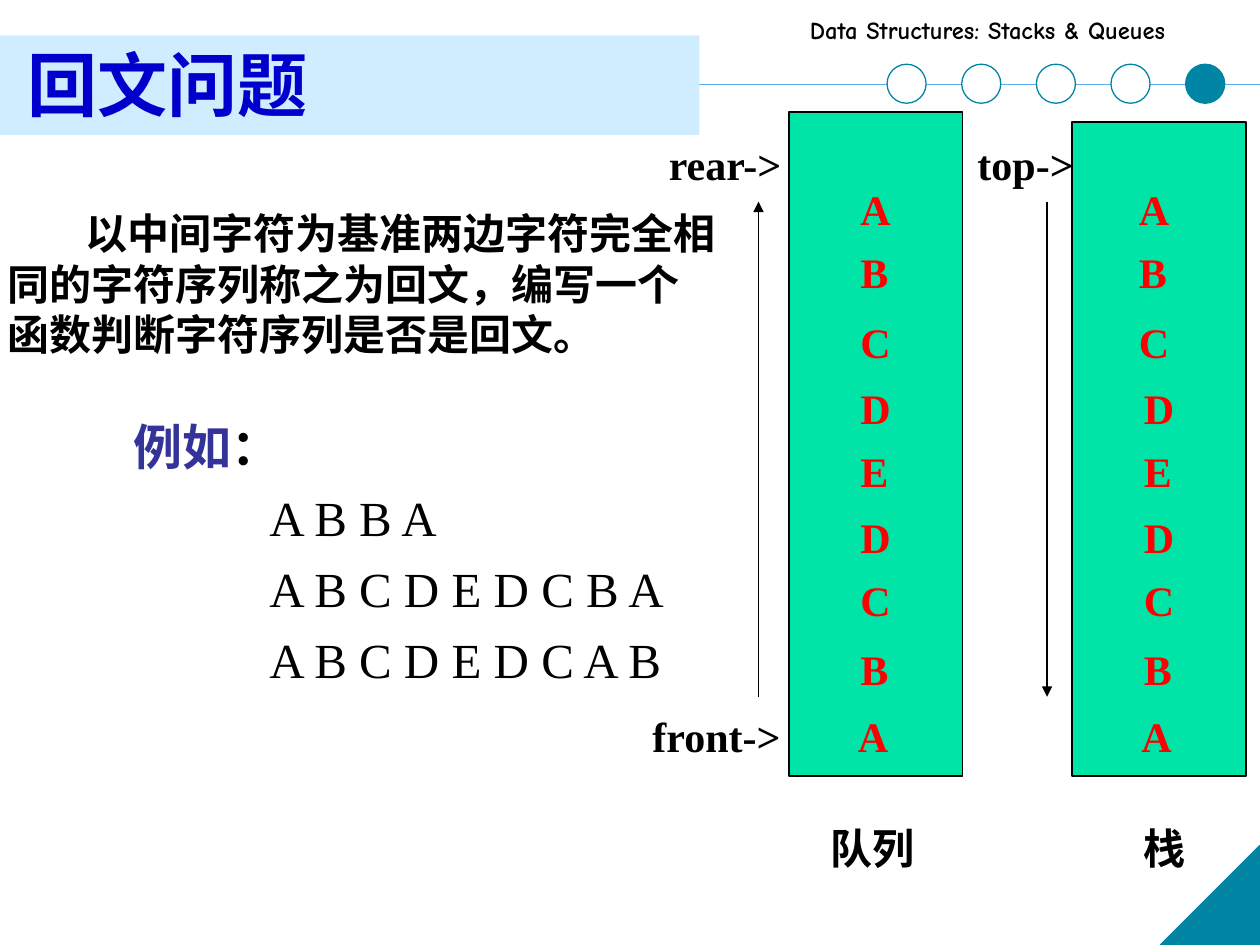
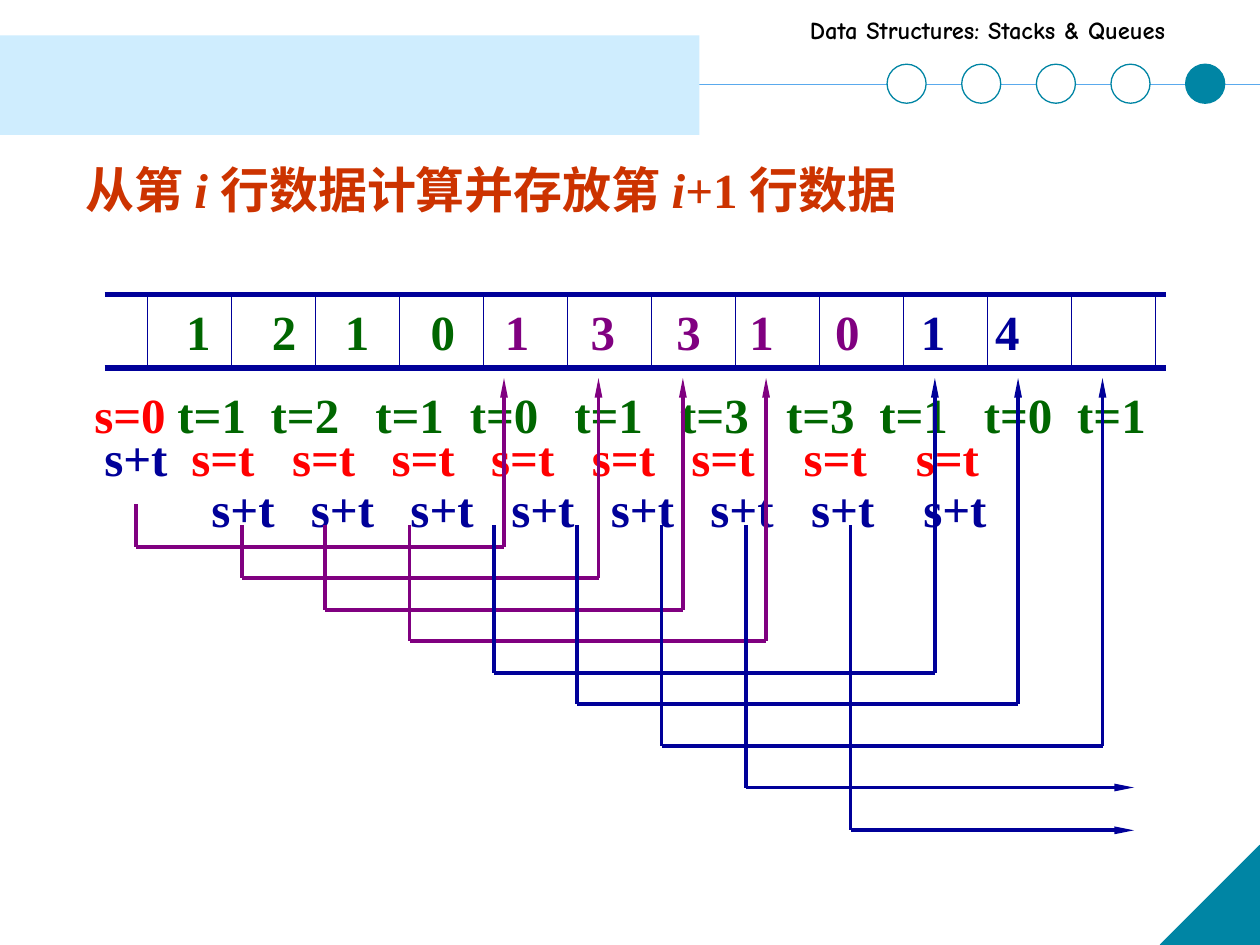
"""Build two slides on palindromes and on computing rows of Pascal's triangle."""
import pptx
import pptx.dml.color
import pptx.enum.shapes
import pptx.enum.text
import pptx.oxml.ns
import pptx.util
from lxml import etree

Inches = pptx.util.Inches
Pt = pptx.util.Pt
Color = pptx.dml.color.RGBColor
Shape = pptx.enum.shapes.MSO_SHAPE
qn = pptx.oxml.ns.qn

BLACK = Color(0x00, 0x00, 0x00)
WHITE = Color(0xFF, 0xFF, 0xFF)
TEAL = Color(0x00, 0x85, 0xA4)
SKY = Color(0x5A, 0xAA, 0xED)
BAND = Color(0xCF, 0xED, 0xFE)
MINT = Color(0x00, 0xE4, 0xA8)
RED = Color(0xFF, 0x00, 0x00)
TITLE_BLUE = Color(0x00, 0x00, 0xCC)
INDIGO = Color(0x33, 0x33, 0x99)
NAVY = Color(0x00, 0x00, 0x99)
PURPLE = Color(0x80, 0x00, 0x80)
GREEN = Color(0x00, 0x66, 0x00)
RUST = Color(0xCC, 0x33, 0x00)
SERIF = "Times New Roman"

HEADER = "Data Structures: Stacks & Queues"
TITLE = "回文问题"
DEFINITION = "以中间字符为基准两边字符完全相同的字符序列称之为回文，编写一个函数判断字符序列是否是回文。"
EXAMPLES = ["A B B A", "A B C D E D C B A", "A B C D E D C A B"]

LETTERS = "ABCDEDCBA"
LETTER_TOPS = [1.41, 1.91, 2.46, 2.99, 3.49, 4.01, 4.51, 5.06, 5.59]
COLUMNS = [
    {"bar": (6.26, 0.89, 1.38, 5.27), "letter_lefts": [6.73] * 8 + [6.71],
     "labels": [("队列", 6.49, 6.48, 0.87), ("rear->", 5.21, 1.05, 1.11), ("front->", 5.08, 5.59, 1.22)],
     "arrow": ((6.02, 5.53), (6.02, 1.6))},
    {"bar": (8.51, 0.97, 1.38, 5.19), "letter_lefts": [8.94] * 3 + [8.98] * 5 + [8.96],
     "labels": [("栈", 8.98, 6.48, 0.54), ("top->", 7.66, 1.05, 0.97)],
     "arrow": ((8.31, 1.6), (8.31, 5.53))},
]

HEADING = [("从第 ", False), ("i ", True), ("行数据计算并存放第 ", False), ("i", True), ("+1 行数据", False)]
ROWS = [
    {"at": (1.38, 2.34, 7.47), "tabs": [0.68, 1.26, 1.94, 2.53, 3.21, 3.89, 4.47, 5.15, 5.83, 6.42],
     "parts": [("1210", GREEN), ("13310", PURPLE), ("14", NAVY)]},
    {"at": (0.65, 3, 8.65), "tabs": [0.66, 1.4, 2.23, 2.98, 3.81, 4.65, 5.49, 6.23, 7.06, 7.8],
     "parts": [(["s=0"], RED), ([f"t={value}" for value in "1210133101"], GREEN)]},
    {"at": (0.73, 3.34, 7.23), "tabs": [0.69, 1.49, 2.28, 3.07, 3.87, 4.66, 5.55, 6.44],
     "parts": [(["s+t"], NAVY), (["s=t"] * 8, RED)]},
    {"at": (1.58, 3.75, 6.43), "tabs": [0.79, 1.58, 2.38, 3.17, 3.96, 4.76, 5.65],
     "parts": [(["s+t"] * 8, NAVY)]},
]
ROW_TOP, ROW_BOTTOM, ROW_LEFT, ROW_RIGHT = 2.34, 2.92, 0.83, 9.25
ROUTES = [
    (1.08, 4, 4.34, 4, PURPLE),
    (1.92, 4.17, 4.59, 4.75, PURPLE),
    (2.58, 4.17, 4.84, 5.42, PURPLE),
    (3.25, 4.17, 5.09, 6.08, PURPLE),
    (3.92, 4.17, 5.34, 7.42, NAVY),
    (4.58, 4.17, 5.59, 8.08, NAVY),
    (5.25, 4.17, 5.92, 8.75, NAVY),
    (5.92, 4.17, 6.25, None, NAVY),
    (6.75, 4.17, 6.59, None, NAVY),
]
TARGET_Y, OPEN_END_X = 3, 9


def add_line(slide, start, end, color, width, head=None):
    """Draw a straight line, with an arrowhead of (width, length) at its end if given."""
    line = slide.shapes.add_connector(
        pptx.enum.shapes.MSO_CONNECTOR.STRAIGHT, *map(Inches, start + end))
    line.line.color.rgb = color
    line.line.width = Pt(width)
    if head:
        etree.SubElement(line.line._get_or_add_ln(), qn("a:tailEnd"),
                         type="triangle", w=head[0], len=head[1])
    etree.SubElement(line._element.spPr, qn("a:effectLst"))


def add_block(slide, kind, at, fill, outline=None, width=0.75):
    """Draw a filled preset shape without shadow."""
    block = slide.shapes.add_shape(kind, *map(Inches, at))
    block.shadow.inherit = False
    block.fill.solid()
    block.fill.fore_color.rgb = fill
    if outline is None:
        block.line.fill.background()
    else:
        block.line.color.rgb = outline
        block.line.width = Pt(width)
    return block


def add_span(para, text, size, color, font=SERIF, bold=True, italic=False):
    """Append one formatted run to a paragraph."""
    span = para.add_run()
    span.text = text
    span.font.size = Pt(size)
    span.font.name = font
    span.font.bold = bold
    span.font.italic = italic
    span.font.color.rgb = color


def add_box(slide, at, wrap=True):
    """Add an empty text box and return its text frame."""
    frame = slide.shapes.add_textbox(*map(Inches, at)).text_frame
    frame.word_wrap = wrap
    return frame


def add_label(slide, text, at, size, color, font=SERIF, wrap=False):
    """Add a text box holding one bold run."""
    add_span(add_box(slide, at, wrap).paragraphs[0], text, size, color, font)


def set_indent(para, left, first=0):
    """Set the left margin and first-line indent of a paragraph in inches."""
    properties = para._p.get_or_add_pPr()
    properties.set("marL", str(Inches(left)))
    properties.set("indent", str(Inches(first)))


def add_base_slide(deck):
    """Add a blank slide with the shared header, band, circles and corner."""
    slide = deck.slides.add_slide(deck.slide_layouts[6])
    add_line(slide, (0, 0.67), (10, 0.67), SKY, 1)
    corner = add_block(slide, Shape.RIGHT_TRIANGLE, (9.21, 6.71, 0.79, 0.79), TEAL, TEAL)
    corner._element.spPr.get_or_add_xfrm().set("flipH", "1")
    add_label(slide, HEADER, (6.33, 0.07, 3.64, 0.34), 14, BLACK, "Comic Neue", True)
    add_block(slide, Shape.RECTANGLE, (0, 0.28, 5.55, 0.79), BAND)
    for index in range(5):
        fill = TEAL if index == 4 else WHITE
        add_block(slide, Shape.OVAL, (7.04 + 0.5925 * index, 0.51, 0.31, 0.31), fill, TEAL)
    return slide


def build_palindrome_slide(deck):
    """Define palindromes and compare a queue with a stack."""
    slide = add_base_slide(deck)
    add_label(slide, TITLE, (0.12, 0.28, 3.78, 0.77), 40, TITLE_BLUE, "Roboto", True)

    body = add_box(slide, (-0.04, 1.6, 5.85, 4))
    para = body.paragraphs[0]
    set_indent(para, 0, 0.62)
    add_span(para, DEFINITION, 24, BLACK)
    para = body.add_paragraph()
    para.space_before = Pt(33)
    set_indent(para, 1)
    add_span(para, "例如", 28, INDIGO)
    add_span(para, "：", 28, BLACK)
    for example in EXAMPLES:
        para = body.add_paragraph()
        para.space_before = Pt(7)
        set_indent(para, 2.08)
        add_span(para, example, 28, BLACK, bold=False)

    for column in COLUMNS:
        add_block(slide, Shape.RECTANGLE, column["bar"], MINT, BLACK, 1)
        for letter, left, top in zip(LETTERS, column["letter_lefts"], LETTER_TOPS):
            add_label(slide, letter, (left, top, 0.44, 0.5), 24, RED)
        for text, left, top, width in column["labels"]:
            add_label(slide, text, (left, top, width, 0.5), 24, BLACK)
        add_line(slide, *column["arrow"], BLACK, 1, ("med", "med"))


def add_tabbed_row(slide, row):
    """Write one row of values, each at its own tab stop."""
    para = add_box(slide, (*row["at"], 0.57)).paragraphs[0]
    stops = etree.SubElement(para._p.get_or_add_pPr(), qn("a:tabLst"))
    for position in row["tabs"]:
        etree.SubElement(stops, qn("a:tab"), pos=str(Inches(position)), algn="l")
    for index, (values, color) in enumerate(row["parts"]):
        lead = "\t" if index else ""
        add_span(para, lead + "\t".join(values), 28, color)


def build_row_slide(deck):
    """Show how row i yields row i+1 in the queue."""
    slide = add_base_slide(deck)
    para = add_box(slide, (0.58, 1.22, 9, 0.57)).paragraphs[0]
    for text, italic in HEADING:
        add_span(para, text, 28, RUST, italic=italic)

    for y in (ROW_TOP, ROW_BOTTOM):
        add_line(slide, (ROW_LEFT, y), (ROW_RIGHT, y), NAVY, 3)
    for index in range(13):
        x = 1.17 + index * 2 / 3
        add_line(slide, (x, ROW_TOP), (x, ROW_BOTTOM), NAVY, 0.75)
    for row in ROWS:
        add_tabbed_row(slide, row)

    for source, top, bottom, target, color in ROUTES:
        points = [(source, top), (source, bottom)]
        if target is None:
            points += [(OPEN_END_X, bottom)]
        else:
            points += [(target, bottom), (target, TARGET_Y)]
        for start, end in zip(points, points[1:]):
            head = ("sm", "lg") if end == points[-1] else None
            add_line(slide, start, end, color, 2.25, head)


def main():
    """Build and save the deck."""
    deck = pptx.Presentation()
    deck.slide_width = Inches(10)
    deck.slide_height = Inches(7.5)
    build_palindrome_slide(deck)
    build_row_slide(deck)
    deck.save("out.pptx")


if __name__ == "__main__":
    main()
